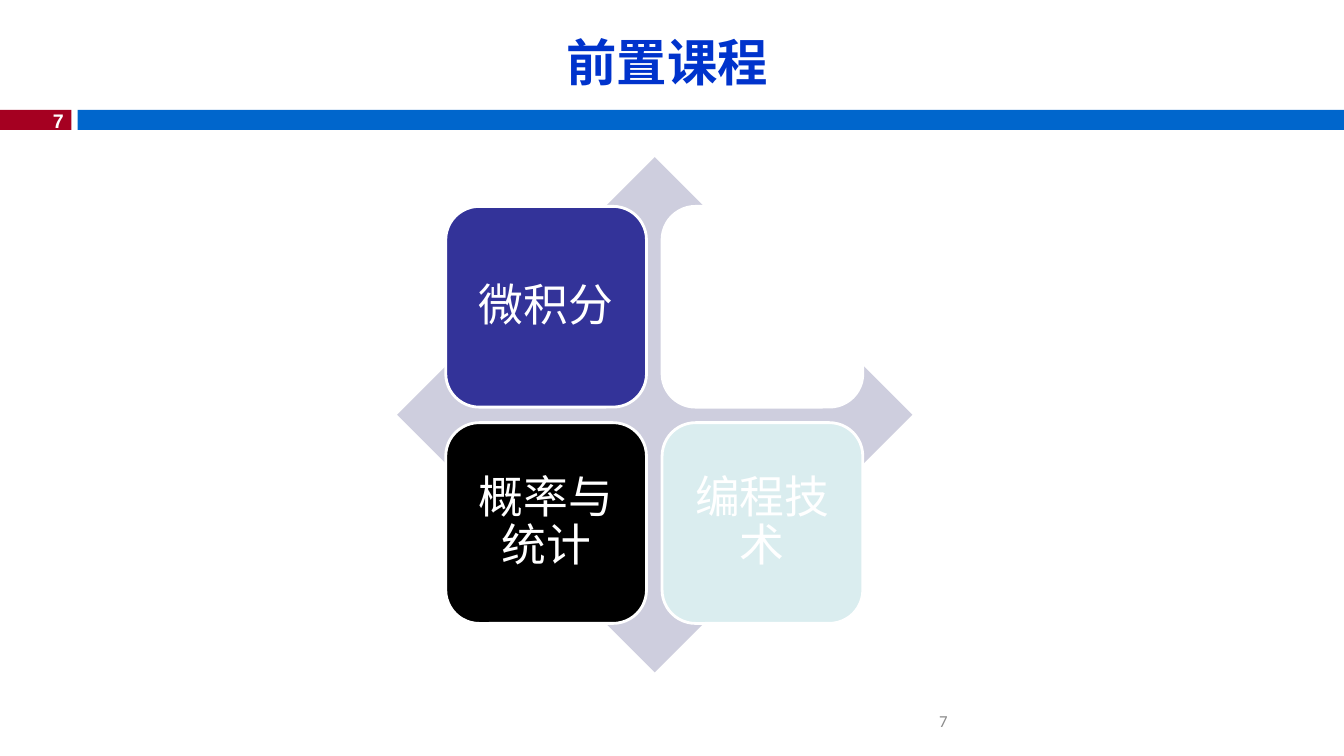
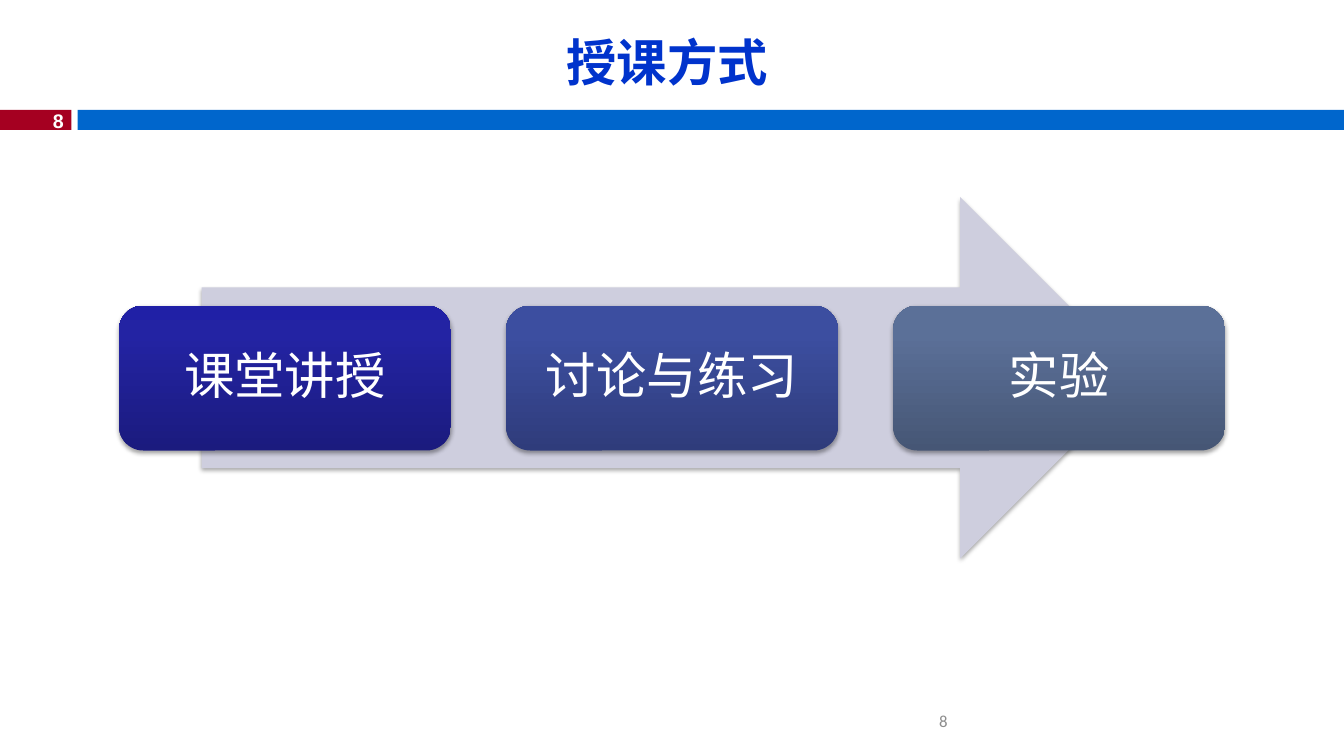
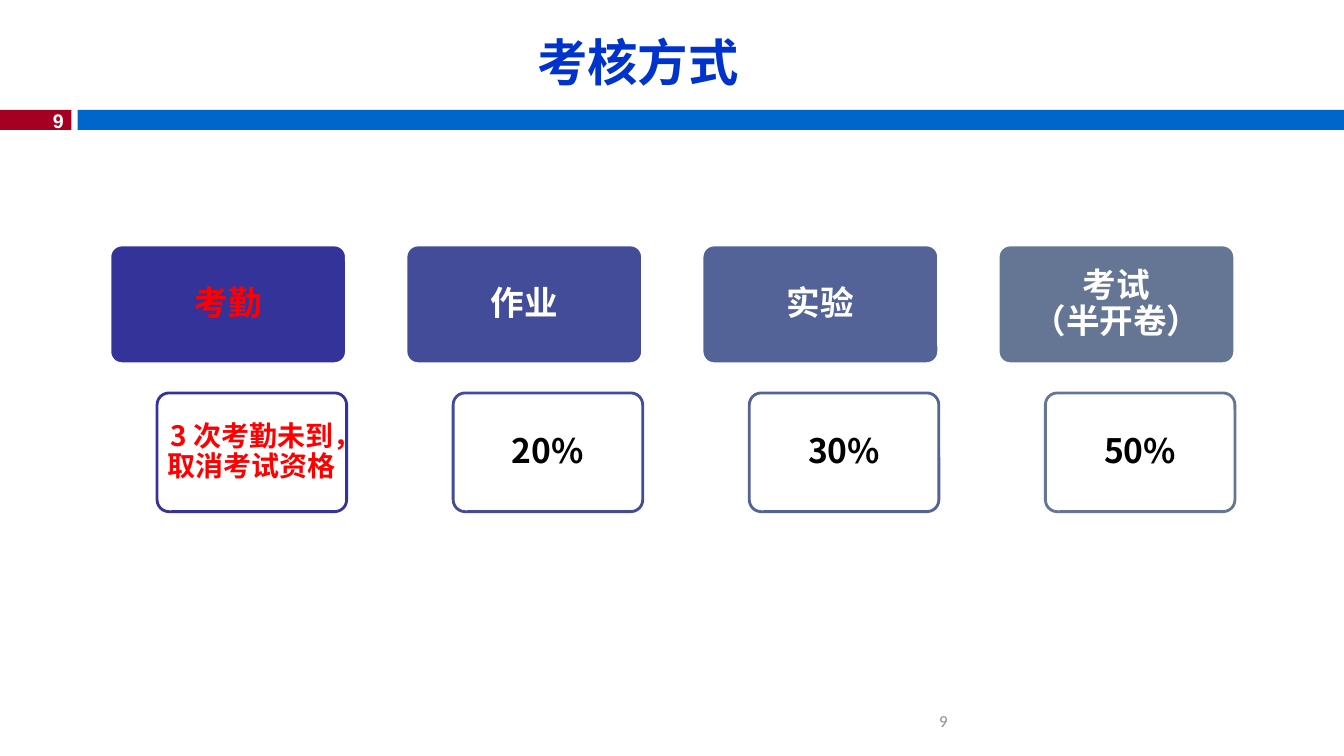
from copy import deepcopy
from dataclasses import dataclass

from lxml.etree import SubElement
from pptx import Presentation
from pptx.dml.color import RGBColor
from pptx.enum.lang import MSO_LANGUAGE_ID
from pptx.enum.shapes import MSO_SHAPE
from pptx.enum.text import MSO_ANCHOR, PP_ALIGN
from pptx.oxml.ns import qn
from pptx.presentation import Presentation as Deck
from pptx.shapes.autoshape import Shape
from pptx.slide import Slide
from pptx.util import Pt

WIDE, HIGH = 960, 540
HAN = "Noto Sans CJK SC"
WHITE, BLACK, RED, PALE = "FFFFFF", "000000", "FF0000", "CECEDE"
CRIMSON, BLUE, TITLE, GREY = "A50021", "0066CC", "0033CC", "8C8C8C"


@dataclass(frozen=True)
class Box:
    left: float
    top: float
    width: float
    height: float

    def move(self, right: float = 0, down: float = 0) -> "Box":
        return Box(self.left + right, self.top + down, self.width, self.height)

    def size(self) -> list[Pt]:
        return [Pt(n) for n in (self.left, self.top, self.width, self.height)]


@dataclass(frozen=True)
class Style:
    size: float
    color: str = WHITE
    bold: bool = False
    face: str = HAN
    align: PP_ALIGN = PP_ALIGN.CENTER
    anchor: MSO_ANCHOR = MSO_ANCHOR.MIDDLE
    space: float = 0.9
    side: float = 7.2
    edge: float = 3.6
    right: float | None = None


@dataclass(frozen=True)
class Tile:
    text: str
    fill: str


@dataclass(frozen=True)
class Step:
    text: str
    stops: tuple[str, str, str]


@dataclass(frozen=True)
class Grade:
    name: str
    fill: str
    share: str
    ink: str = WHITE
    note: Style = Style(24, BLACK, True, side=3.6, edge=2.4)


HEAD = Style(36, TITLE, True, "Arial", space=1)
PAGE = Style(14, WHITE, True, "Arial", PP_ALIGN.RIGHT, MSO_ANCHOR.TOP, 1)
FOOT = Style(12, GREY, False, "Calibri", PP_ALIGN.RIGHT, space=1)

TILES = [
    Tile("微积分", "333399"),
    Tile("", WHITE),
    Tile("概率与统计", BLACK),
    Tile("编程技术", "DAEDEF"),
]
STEPS = [
    Step("课堂讲授", ("1B1B7E", "2323A3", "2020A6")),
    Step("讨论与练习", ("2F3C7B", "3C4EA0", "3B4DA2")),
    Step("实验", ("465675", "5B7098", "5A7099")),
]
GRADES = [
    Grade("考勤", "333399", "3次考勤未到，取消考试资格", RED,
          Style(20, RED, True, side=2.8, edge=2)),
    Grade("作业", "424C99", "20%"),
    Grade("实验", "536398", "30%"),
    Grade("考试\n（半开卷）", "657695", "50%"),
]


def tint(code: str) -> RGBColor:
    return RGBColor.from_string(code)


def apply(target: object, values: dict[str, object]) -> None:
    for key, value in values.items():
        setattr(target, key, value)


def write(shape: Shape, text: str, style: Style) -> None:
    """Fill a shape with one paragraph per line of text."""
    frame = shape.text_frame
    apply(frame, {
        "word_wrap": True,
        "vertical_anchor": style.anchor,
        "margin_left": Pt(style.side),
        "margin_right": Pt(style.side if style.right is None else style.right),
        "margin_top": Pt(style.edge),
        "margin_bottom": Pt(style.edge),
    })
    for index, line in enumerate(text.split("\n")):
        para = frame.add_paragraph() if index else frame.paragraphs[0]
        apply(para, {"alignment": style.align, "line_spacing": style.space})
        para._p.get_or_add_pPr().set("hangingPunct", "1")
        run = para.add_run()
        run.text = line
        run.font.color.rgb = tint(style.color)
        apply(run.font, {
            "size": Pt(style.size),
            "bold": style.bold,
            "name": style.face,
            "language_id": MSO_LANGUAGE_ID.SIMPLIFIED_CHINESE,
        })
        SubElement(run._r.rPr, qn("a:ea")).set("typeface", HAN)


def label(slide: Slide, box: Box, text: str, style: Style) -> None:
    write(slide.shapes.add_textbox(*box.size()), text, style)


def draw(slide: Slide, kind: MSO_SHAPE, box: Box, fill: str,
         line: str | None = None) -> Shape:
    shape = slide.shapes.add_shape(kind, *box.size())
    shape.shadow.inherit = False
    shape.fill.solid()
    shape.fill.fore_color.rgb = tint(fill)
    if line:
        shape.line.color.rgb = tint(line)
        shape.line.width = Pt(2)
    else:
        shape.line.fill.background()
    return shape


def shade(shape: Shape, stops: tuple[str, str, str]) -> None:
    """Blend three colours from the bottom to the top."""
    fill = shape.fill
    fill.gradient()
    fill.gradient_angle = 90
    items = shape._element.spPr.find(".//" + qn("a:gsLst"))
    items.append(deepcopy(items[0]))
    for stop, place, code in zip(fill.gradient_stops, (0, 0.8, 1), stops):
        stop.position = place
        stop.color.rgb = tint(code)


def lift(shape: Shape) -> None:
    """Add a soft shadow below a shape."""
    effects = shape._element.spPr.find(qn("a:effectLst"))
    shadow = SubElement(effects, qn("a:outerShdw"), {
        "blurRad": str(Pt(3.1)), "dist": str(Pt(1.8)),
        "dir": "5400000", "rotWithShape": "0",
    })
    color = SubElement(shadow, qn("a:srgbClr"), val=BLACK)
    SubElement(color, qn("a:alpha"), val="35000")


def start(deck: Deck, page: int, title: str, box: Box = Box(23, 17.3, 907, 53.3),
          style: Style = HEAD) -> Slide:
    """Add a slide with its bands, title and page numbers."""
    slide = deck.slides.add_slide(deck.slide_layouts[6])
    draw(slide, MSO_SHAPE.RECTANGLE, Box(0, 78.5, 51, 14.4), CRIMSON)
    draw(slide, MSO_SHAPE.RECTANGLE, Box(55.5, 78.5, WIDE - 55.5, 14.4), BLUE)
    label(slide, Box(21, 74.2, 31.7, 24.5), str(page), PAGE)
    label(slide, box, title, style)
    label(slide, Box(516, 500.4, 168, 28.8), str(page), FOOT)
    return slide


def courses(deck: Deck) -> None:
    slide = start(deck, 7, "前置课程")
    draw(slide, MSO_SHAPE.DIAMOND, Box(283.7, 112.3, 368, 368), PALE)
    first, pitch = Box(318.4, 147.4, 143.4, 143.4), 154.5
    style = Style(32, side=9.6, edge=9.6)
    for index, tile in enumerate(TILES):
        row, col = divmod(index, 2)
        shape = draw(slide, MSO_SHAPE.ROUNDED_RECTANGLE,
                     first.move(col * pitch, row * pitch), tile.fill, WHITE)
        if tile.text:
            write(shape, tile.text, style)


def methods(deck: Deck) -> None:
    slide = start(deck, 8, "授课方式")
    lift(draw(slide, MSO_SHAPE.RIGHT_ARROW, Box(144, 140.6, 671, 258.5), PALE))
    first, pitch = Box(85, 218.3, 237, 103.5), 276.5
    style = Style(36, side=10.8, edge=10.8)
    for index, step in enumerate(STEPS):
        shape = draw(slide, MSO_SHAPE.ROUNDED_RECTANGLE,
                     first.move(index * pitch), step.stops[0])
        shade(shape, step.stops)
        lift(shape)
        write(shape, step.text, style)


def grading(deck: Deck) -> None:
    slide = start(deck, 9, "考核方式", Box(53.3, 17.3, 877.7, 53.3),
                  Style(36, TITLE, True, "Arial", space=1, right=80))
    upper, lower = Box(78.5, 175, 169, 84.8), Box(112.2, 280.7, 135.4, 84.8)
    pitch = 211.5
    for index, grade in enumerate(GRADES):
        name = Style(24, grade.ink, True, side=3.6, edge=2.4)
        for box, fill, line, text, style in (
            (upper, grade.fill, WHITE, grade.name, name),
            (lower, WHITE, grade.fill, grade.share, grade.note),
        ):
            shape = draw(slide, MSO_SHAPE.ROUNDED_RECTANGLE,
                         box.move(index * pitch), fill, line)
            shape.adjustments[0] = 0.1
            write(shape, text, style)


def main() -> None:
    deck = Presentation()
    apply(deck, {"slide_width": Pt(WIDE), "slide_height": Pt(HIGH)})
    for build in (courses, methods, grading):
        build(deck)
    deck.save("out.pptx")


if __name__ == "__main__":
    main()
